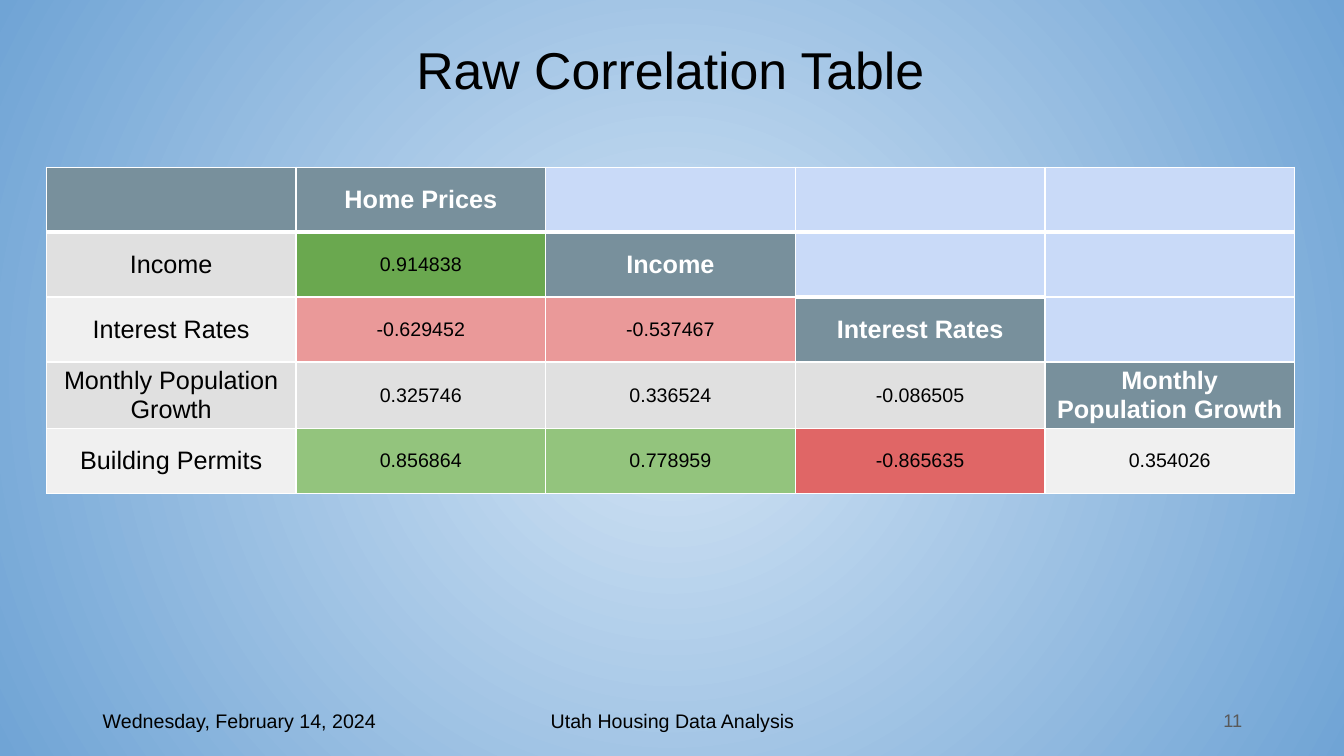
import pptx
import pptx.dml.color
import pptx.enum.text
import pptx.oxml
import pptx.oxml.ns
import pptx.util
from pptx.util import Inches

ALIGN = pptx.enum.text.PP_ALIGN
MIDDLE = pptx.enum.text.MSO_ANCHOR.MIDDLE
SLATE, BLANK = "78909C", "C9DAF8"
STRIPES = ["F0F0F0", "E0E0E0"]
NAMES = ["Home Prices", "Income", "Interest Rates",
         "Monthly Population Growth", "Building Permits"]
VALUES = [
    ["0.914838"],
    ["-0.629452", "-0.537467"],
    ["0.325746", "0.336524", "-0.086505"],
    ["0.856864", "0.778959", "-0.865635", "0.354026"],
]


def color(code):
    """Turn a hex string into a colour."""
    return pptx.dml.color.RGBColor.from_string(code)


def write(frame, text, size=18, ink="000000", bold=False, align=ALIGN.CENTER, line=None):
    """Put one formatted paragraph into a text frame."""
    frame.word_wrap = True
    para = frame.paragraphs[0]
    para.alignment = align
    para.line_spacing = line
    run = para.add_run()
    run.text = text
    font = run.font
    font.name, font.size, font.bold = "Arial", pptx.util.Pt(size), bold
    font.color.rgb = color(ink)


def backdrop(slide):
    """Fill the slide with a round gradient, light in the centre."""
    fill = slide.background.fill
    fill.gradient()
    for stop, code, place in zip(fill.gradient_stops, ["D4E5F5", "70A4D5"], [0, 1]):
        stop.color.rgb = color(code)
        stop.position = place
    space = pptx.oxml.ns.nsdecls("a")
    grad = slide.element.find(".//" + pptx.oxml.ns.qn("a:gradFill"))
    grad.remove(grad.find(pptx.oxml.ns.qn("a:lin")))
    grad.append(pptx.oxml.parse_xml(
        f'<a:path {space} path="circle">'
        '<a:fillToRect l="50000" t="50000" r="50000" b="50000"/></a:path>'))


def title(slide, text, left, top, width, height):
    """Place and format the title."""
    shape = slide.shapes.title
    shape.left, shape.top = Inches(left), Inches(top)
    shape.width, shape.height = Inches(width), Inches(height)
    shape.text_frame.vertical_anchor = MIDDLE
    write(shape.text_frame, text, size=37, line=0.9)


def border(cell, **widths):
    """Draw white lines, one point wide unless given, around a cell."""
    space = pptx.oxml.ns.nsdecls("a")
    props = cell._tc.get_or_add_tcPr()
    for spot, side in enumerate("LRTB"):
        width = pptx.util.Pt(widths.get(side, 1))
        props.insert(spot, pptx.oxml.parse_xml(
            f'<a:ln{side} {space} w="{width}"><a:solidFill>'
            f'<a:srgbClr val="FFFFFF"/></a:solidFill></a:ln{side}>'))


def shade(value, plain):
    """Choose a cell colour by the strength of the correlation."""
    if value > 0.9:
        return "6AA84F"
    if value > 0.7:
        return "93C47D"
    if value < -0.8:
        return "E06666"
    if value < -0.5:
        return "EA9999"
    return plain


def matrix(slide, left, top, width, height):
    """Build the stepped correlation table."""
    count = len(NAMES)
    table = slide.shapes.add_table(
        count, count, Inches(left), Inches(top), Inches(width), Inches(height)).table
    for row in range(count):
        for col in range(count):
            cell = table.cell(row, col)
            cell.vertical_anchor = MIDDLE
            tint = STRIPES[row % 2]
            if col == row + 1:
                tint = SLATE
                write(cell.text_frame, NAMES[row], ink="FFFFFF", bold=True)
            elif col > row:
                tint = BLANK
            elif row == 0:
                tint = SLATE
            elif col == 0:
                write(cell.text_frame, NAMES[row])
            else:
                text = VALUES[row - 1][col - 1]
                tint = shade(float(text), tint)
                write(cell.text_frame, text, size=14)
            cell.fill.solid()
            cell.fill.fore_color.rgb = color(tint)
            border(cell, T=3 if row == 1 else 1,
                   B=3 if row == 0 or (row, col) == (1, 3) else 1)


def footer(slide, left, top, width, height):
    """Place the date, the subject and the slide number in a row."""
    parts = [
        ("Wednesday, February 14, 2024", 0, 3, ALIGN.LEFT, 14, "000000"),
        ("Utah Housing Data Analysis", 3.5, width - 7, ALIGN.CENTER, 14, "000000"),
        ("11", width - 3, 3, ALIGN.RIGHT, 13, "595959"),
    ]
    for text, shift, wide, align, size, ink in parts:
        box = slide.shapes.add_textbox(
            Inches(left + shift), Inches(top), Inches(wide), Inches(height))
        box.text_frame.vertical_anchor = MIDDLE
        write(box.text_frame, text, size=size, ink=ink, align=align)


def main():
    """Build and save the slide."""
    deck = pptx.Presentation()
    deck.slide_width, deck.slide_height = Inches(13.33), Inches(7.5)
    slide = deck.slides.add_slide(deck.slide_layouts[5])
    backdrop(slide)
    title(slide, "Raw Correlation Table", 0.9, 0, 11.5, 1.45)
    matrix(slide, 0.46, 1.66, 12.38, 3.22)
    footer(slide, 0.92, 6.95, 11.5, 0.4)
    deck.save("out.pptx")


if __name__ == "__main__":
    main()
